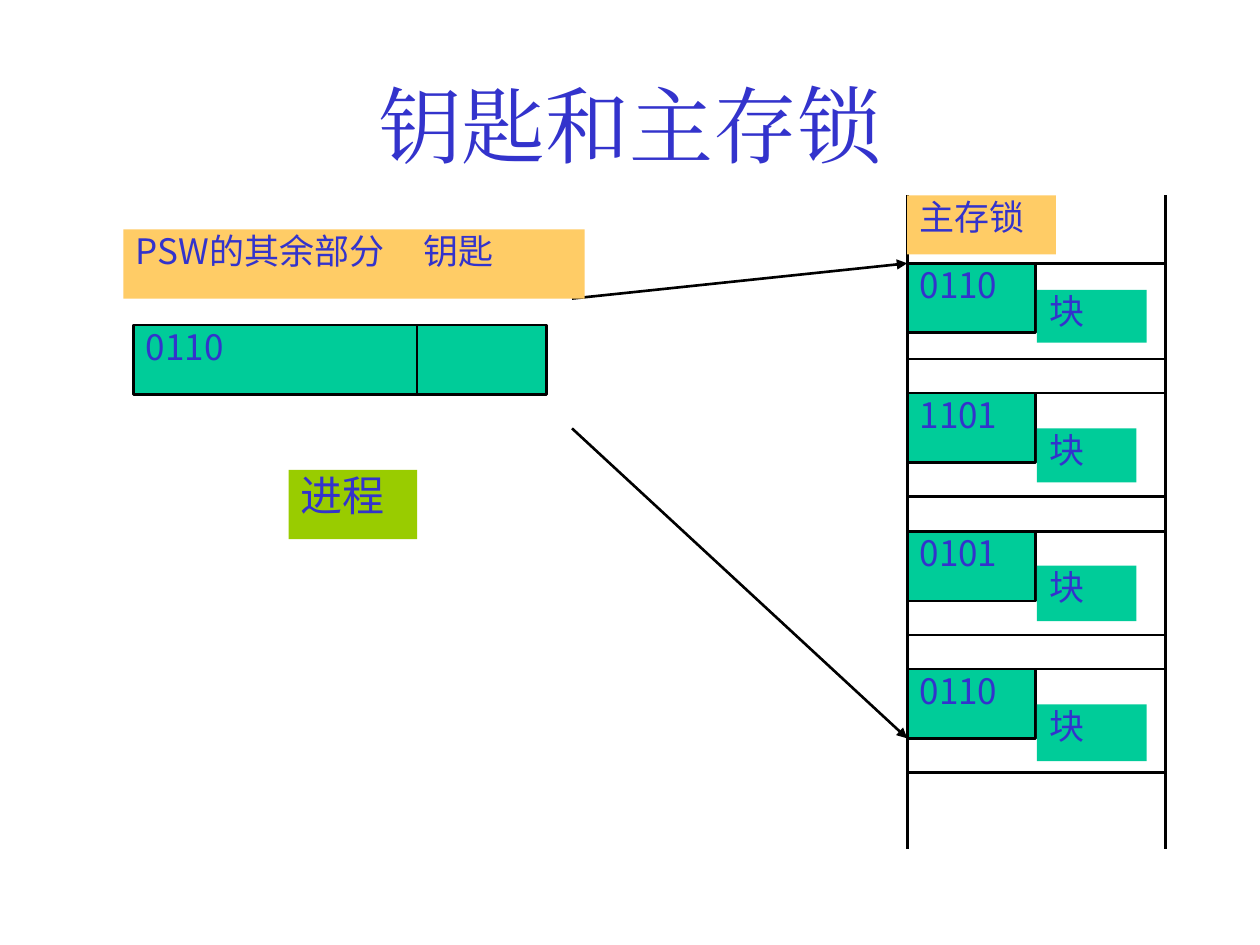
from lxml.etree import SubElement
from pptx import Presentation
from pptx.dml.color import RGBColor
from pptx.enum.shapes import MSO_CONNECTOR, MSO_SHAPE
from pptx.enum.text import MSO_ANCHOR, PP_ALIGN
from pptx.oxml.ns import qn
from pptx.util import Inches, Pt

TITLE = "钥匙和主存锁"
BLUE, BLACK = "3333CC", "000000"
GREEN, ORANGE, LIME = "00CC99", "FFCC66", "99CC00"
SANS, SERIF = "Noto Sans CJK JP", "Times New Roman"

MEMORY_LEFT, MEMORY_RIGHT = 7.2, 9.25
MEMORY_TOP, MEMORY_BOTTOM = 1.55, 6.74
LOCK_WIDTH, LOCK_HEIGHT = 1.02, 0.55
BLOCK_LEFT = 8.23
# lock, top and bottom of the block, label (top, width, height)
BLOCKS = [
    ("0110", 2.09, 2.85, (2.3, 0.87, 0.42)),
    ("1101", 3.12, 3.94, (3.4, 0.79, 0.43)),
    ("0101", 4.22, 5.04, (4.49, 0.79, 0.44)),
    ("0110", 5.31, 6.13, (5.59, 0.87, 0.45)),
]
ARROWS = [
    (4.54, 2.37, MEMORY_LEFT, BLOCKS[0][1]),
    (4.54, 3.4, MEMORY_LEFT, BLOCKS[-1][1] + LOCK_HEIGHT),
]
# text, position, fill, outlined, size, tab stop
PROCESS = [
    ("0110", (1.06, 2.58, 3.28, 0.55), GREEN, True, 20, None),
    ("PSW的其余部分\t钥匙", (0.98, 1.82, 3.66, 0.55), ORANGE, False, 20, 2.28),
    ("进程", (2.29, 3.73, 1.02, 0.55), LIME, False, 24, None),
]
KEY_DIVIDER = (3.31, 2.58, 3.31, 3.12)


def color(value):
    """Turn a hex string into a colour."""
    return RGBColor.from_string(value)


def write(frame, text, size=20, font=SANS, align=PP_ALIGN.LEFT,
          anchor=MSO_ANCHOR.TOP, inset=0, tab=None):
    """Fill a text frame with one formatted paragraph."""
    frame.word_wrap = True
    frame.vertical_anchor = anchor
    frame.margin_left = frame.margin_right = Inches(0.1)
    frame.margin_top = frame.margin_bottom = Inches(inset)
    paragraph = frame.paragraphs[0]
    paragraph.alignment = align
    if tab:
        stops = SubElement(paragraph._p.get_or_add_pPr(), qn("a:tabLst"))
        SubElement(stops, qn("a:tab"), pos=str(Inches(tab)), algn="l")
    run = paragraph.add_run()
    run.text = text
    run.font.size = Pt(size)
    run.font.name = font
    run.font.color.rgb = color(BLUE)
    SubElement(run._r.get_or_add_rPr(), qn("a:ea"), typeface=font)


def add_box(text, position, fill=GREEN, outlined=False, size=20, tab=None):
    """Add a filled rectangle with text."""
    box = slide.shapes.add_shape(MSO_SHAPE.RECTANGLE, *map(Inches, position))
    box.shadow.inherit = False
    box.fill.solid()
    box.fill.fore_color.rgb = color(fill)
    if outlined:
        box.line.color.rgb = color(BLACK)
        box.line.width = Pt(1.5)
    else:
        box.line.fill.background()
    write(box.text_frame, text, size=size, tab=tab)


def add_line(ends, width=1.5, arrow=False):
    """Add a straight black line, with an arrowhead if asked."""
    line = slide.shapes.add_connector(MSO_CONNECTOR.STRAIGHT, *map(Inches, ends))
    line.line.color.rgb = color(BLACK)
    line.line.width = Pt(width)
    if arrow:
        SubElement(line.line._get_or_add_ln(), qn("a:tailEnd"), type="triangle")
    SubElement(line._element.spPr, qn("a:effectLst"))


presentation = Presentation()
presentation.slide_width, presentation.slide_height = Inches(10), Inches(7.5)
slide = presentation.slides.add_slide(presentation.slide_layouts[5])

title = slide.shapes.title
title.left, title.top = Inches(0.75), Inches(0.36)
title.width, title.height = Inches(8.5), Inches(1.25)
write(title.text_frame, TITLE, size=48, font=SERIF, align=PP_ALIGN.CENTER,
      anchor=MSO_ANCHOR.MIDDLE, inset=0.05)

for x in (MEMORY_LEFT, MEMORY_RIGHT):
    add_line((x, MEMORY_TOP, x, MEMORY_BOTTOM))
add_box("主存锁", (MEMORY_LEFT, MEMORY_TOP, 1.18, 0.47), fill=ORANGE)
for arrow_ends in ARROWS:
    add_line(arrow_ends, arrow=True)

for lock, top, bottom, (label_top, label_width, label_height) in BLOCKS:
    for y in (top, bottom):
        add_line((MEMORY_LEFT, y, MEMORY_RIGHT, y))
    add_box(lock, (MEMORY_LEFT, top, LOCK_WIDTH, LOCK_HEIGHT), outlined=True)
    add_box("块", (BLOCK_LEFT, label_top, label_width, label_height))

for part in PROCESS:
    add_box(*part)
add_line(KEY_DIVIDER, width=0.74)

presentation.save("out.pptx")
